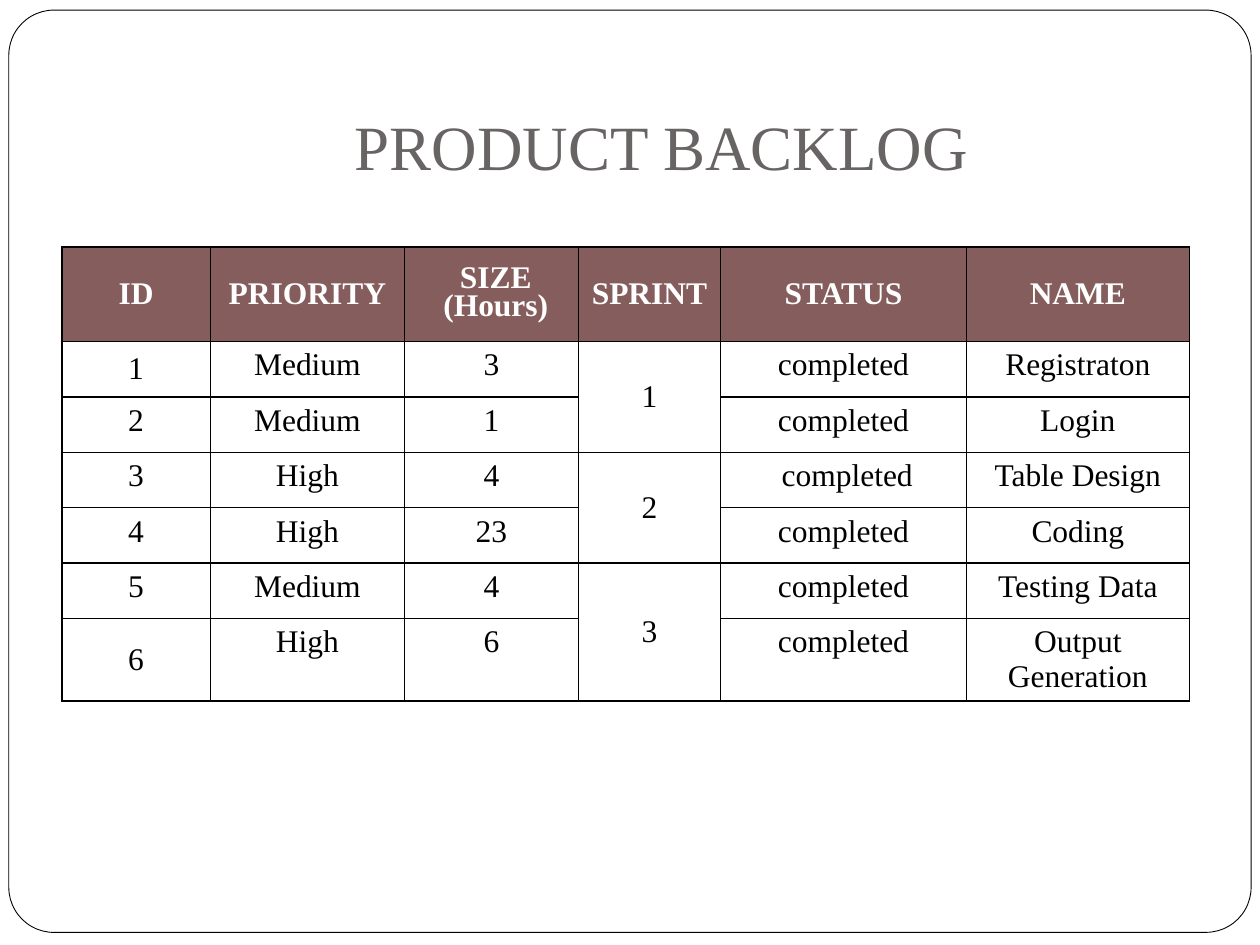
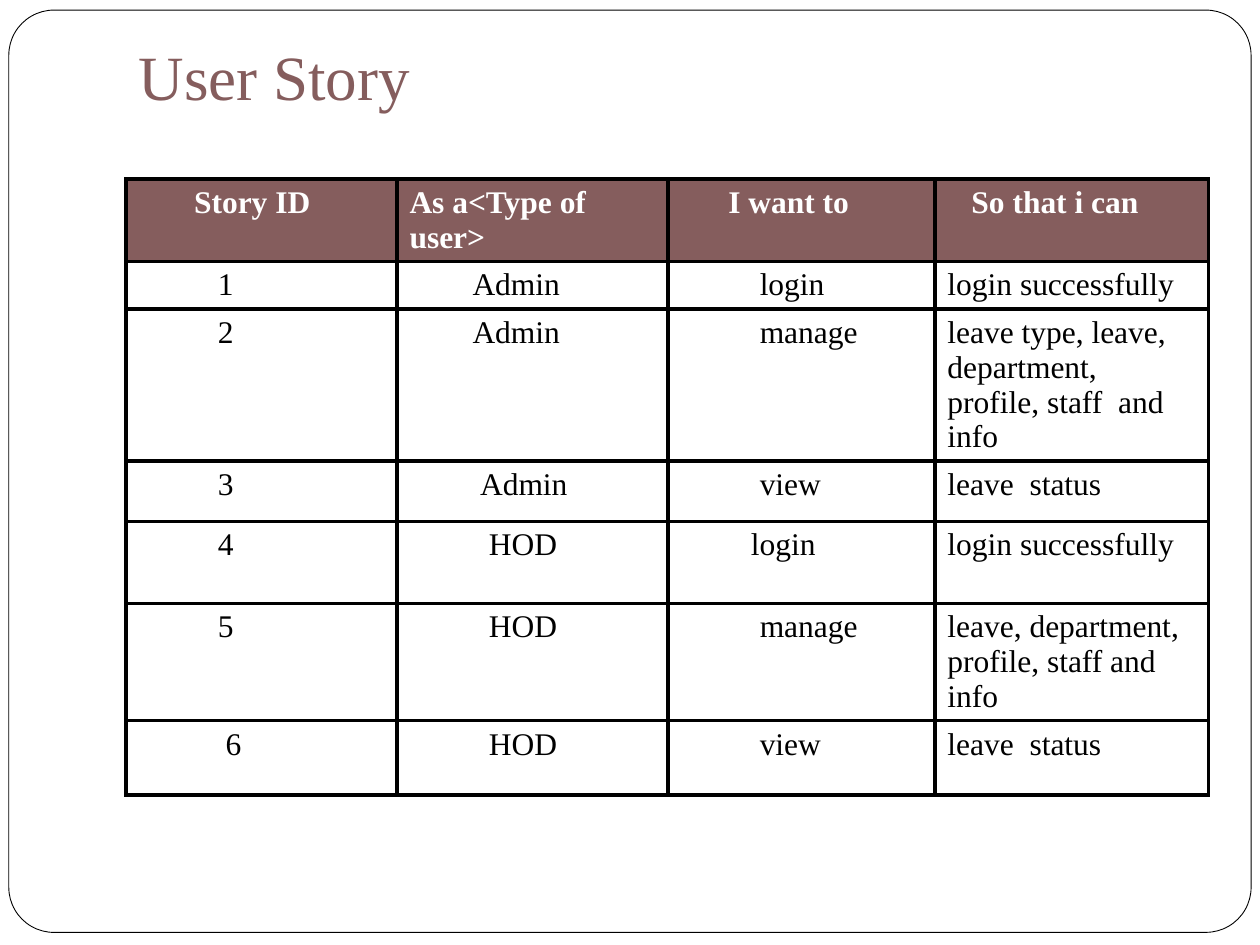
from lxml import etree
from pptx import Presentation
from pptx import util as u
from pptx.dml import color
from pptx.enum import shapes, text
from pptx.oxml import ns

COLOURS = {
    "paper": "FFFFFF",
    "ink": "000000",
    "brown": "855D5D",
    "grey": "696464",
}
FONT = "Times New Roman"
LEFT, CENTRE = text.PP_ALIGN.LEFT, text.PP_ALIGN.CENTER
TOP, MIDDLE, BOTTOM = (text.MSO_ANCHOR.TOP, text.MSO_ANCHOR.MIDDLE,
                       text.MSO_ANCHOR.BOTTOM)


def rgb(name):
    return color.RGBColor.from_string(COLOURS[name])


def inches(*values):
    return [u.Inches(value) for value in values]


def add_span(para, words, size, colour, bold=False):
    span = para.add_run()
    span.text = words
    span.font.name = FONT
    span.font.size = u.Pt(size)
    span.font.bold = bold
    span.font.color.rgb = rgb(colour)


def add_frame(layout, page):
    """Draw the rounded frame and move it to the back of the layout."""
    frame = page.shapes.add_shape(shapes.MSO_SHAPE.ROUNDED_RECTANGLE,
                                  *inches(0.07, 0.08, 9.86, 7.32))
    frame.adjustments[0] = 0.049
    frame.shadow.inherit = False
    frame.fill.solid()
    frame.fill.fore_color.rgb = rgb("paper")
    frame.line.color.rgb = rgb("ink")
    frame.line.width = u.Pt(0.5)
    layout.shapes.element.insert(2, frame.element)


def set_title(page, words, colour, align, anchor, top_inset):
    title = page.shapes.title
    title.left, title.top, title.width, title.height = inches(1, 0.3, 8.5, 1.25)
    box = title.text_frame
    box.auto_size = text.MSO_AUTO_SIZE.NONE
    box.word_wrap = True
    box.vertical_anchor = anchor
    box.margin_left, box.margin_right = inches(0.1, 0.1)
    box.margin_top, box.margin_bottom = inches(top_inset, 0.1)
    para = box.paragraphs[0]
    para.alignment = align
    add_span(para, words, 36, colour)


def add_borders(cell, width):
    properties = cell._tc.get_or_add_tcPr()
    for side in ("a:lnL", "a:lnR", "a:lnT", "a:lnB"):
        line = etree.SubElement(properties, ns.qn(side), w=str(u.Pt(width)))
        fill = etree.SubElement(line, ns.qn("a:solidFill"))
        etree.SubElement(fill, ns.qn("a:srgbClr"), val=COLOURS["ink"])


def add_grid(page, place, columns, heights, rows, border, inset, align):
    """Add a table with a brown header row; rows hold the cell texts."""
    table = page.shapes.add_table(len(rows), len(columns), *inches(*place)).table
    table.horz_banding = False
    for column, width in zip(table.columns, columns):
        column.width = u.Inches(width)
    for row, height in zip(table.rows, heights):
        row.height = u.Inches(height)
    for r, row in enumerate(rows):
        header = r == 0
        for c, words in enumerate(row):
            cell = table.cell(r, c)
            add_borders(cell, border)
            cell.fill.solid()
            cell.fill.fore_color.rgb = rgb("brown" if header else "paper")
            cell.margin_left = cell.margin_right = u.Inches(inset)
            cell.margin_top = cell.margin_bottom = u.Inches(0.05)
            if words is None:
                continue
            box = cell.text_frame
            for i, line in enumerate(words.split("\n")):
                para = box.add_paragraph() if i else box.paragraphs[0]
                para.alignment = align
                add_span(para, line, 18, "paper" if header else "ink", header)
    return table


def indent(cell, distance):
    for para in cell.text_frame.paragraphs:
        para._p.get_or_add_pPr().set("marL", str(u.Inches(distance)))


def build_backlog(page):
    set_title(page, "PRODUCT BACKLOG", "grey", CENTRE, BOTTOM, 0.05)
    rows = [
        ("ID", "PRIORITY", "SIZE\n(Hours)", "SPRINT", "STATUS", "NAME"),
        ("1", "Medium", "3", "1", "completed", "Registraton"),
        ("2", "Medium", "1", None, "completed", "Login"),
        ("3", "High", "4", "2", "completed", "Table Design"),
        ("4", "High", "23", None, "completed", "Coding"),
        ("5", "Medium", "4", "3", "completed", "Testing Data"),
        ("6", "High", "6", None, "completed", "Output Generation"),
    ]
    table = add_grid(page, (0.49, 1.96, 8.93, 3.63),
                     (1.18, 1.54, 1.38, 1.13, 1.95, 1.77),
                     [0.75] + [0.44] * 6, rows, 1, 0.07, CENTRE)

    # Each sprint covers two rows
    for r in (1, 3, 5):
        table.cell(r, 3).merge(table.cell(r + 1, 3))
        table.cell(r, 3).vertical_anchor = MIDDLE

    # Centred header, first and last ID
    for cell in [*table.rows[0].cells, table.cell(1, 0), table.cell(6, 0)]:
        cell.vertical_anchor = MIDDLE

    # Tight two-line heading and one shifted status
    size = table.cell(0, 2)
    indent(size, 0.07)
    for para in size.text_frame.paragraphs:
        para.line_spacing = 0.79
    indent(table.cell(3, 4), 0.06)


def build_stories(page):
    set_title(page, "User Story", "brown", LEFT, TOP, 0)
    rows = [
        ("Story ID", "As a<Type of user>", "I want to", "So that i can"),
        ("1", "Admin", "login", "login successfully"),
        ("2", "Admin", "manage",
         "leave type, leave, department, profile, staff  and info"),
        ("3", "Admin", "view", "leave  status"),
        ("4", "HOD", "login", "login successfully"),
        ("5", "HOD", "manage", "leave, department, profile, staff and info"),
        ("6", "HOD", "view", "leave  status"),
    ]
    table = add_grid(page, (1, 1.42, 8.58, 4.59), (2.15, 2.15, 2.12, 2.17),
                     (0.63, 0.36, 0.98, 0.48, 0.65, 0.72, 0.59),
                     rows, 2.25, 0.1, LEFT)

    # Left indents of the first three columns, row by row
    indents = [
        (0.44, 0, 0.38),
        (0.63, 0.5, 0.63),
        (0.63, 0.5, 0.63),
        (0.63, 0.56, 0.63),
        (0.63, 0.63, 0.56),
        (0.63, 0.63, 0.63),
        (0.69, 0.63, 0.63),
    ]
    for r, distances in enumerate(indents):
        for c, distance in enumerate(distances):
            indent(table.cell(r, c), distance)
    indent(table.cell(0, 3), 0.19)


def main():
    deck = Presentation()
    deck.slide_width, deck.slide_height = inches(10, 7.5)
    layout = deck.slide_layouts.get_by_name("Title Only")
    backlog, stories = (deck.slides.add_slide(layout) for _ in range(2))
    add_frame(layout, backlog)
    build_backlog(backlog)
    build_stories(stories)
    deck.save("out.pptx")


main()
